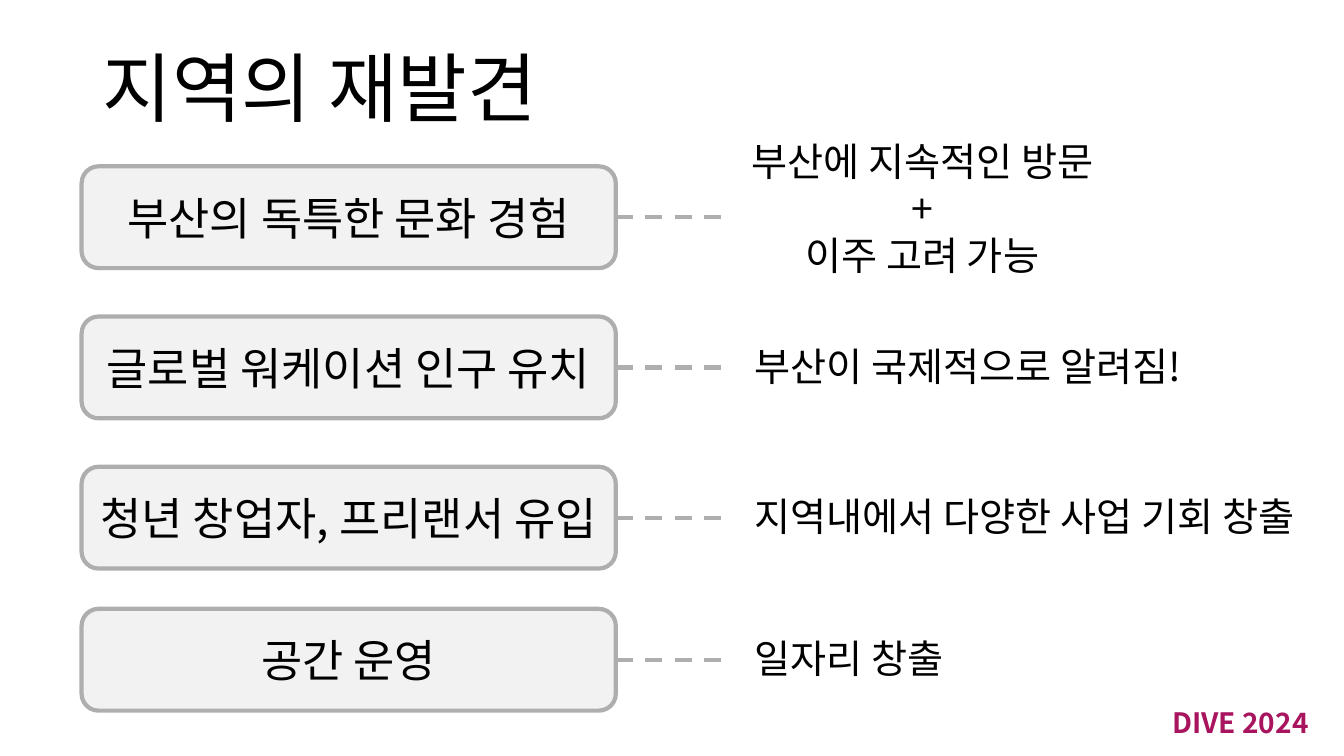
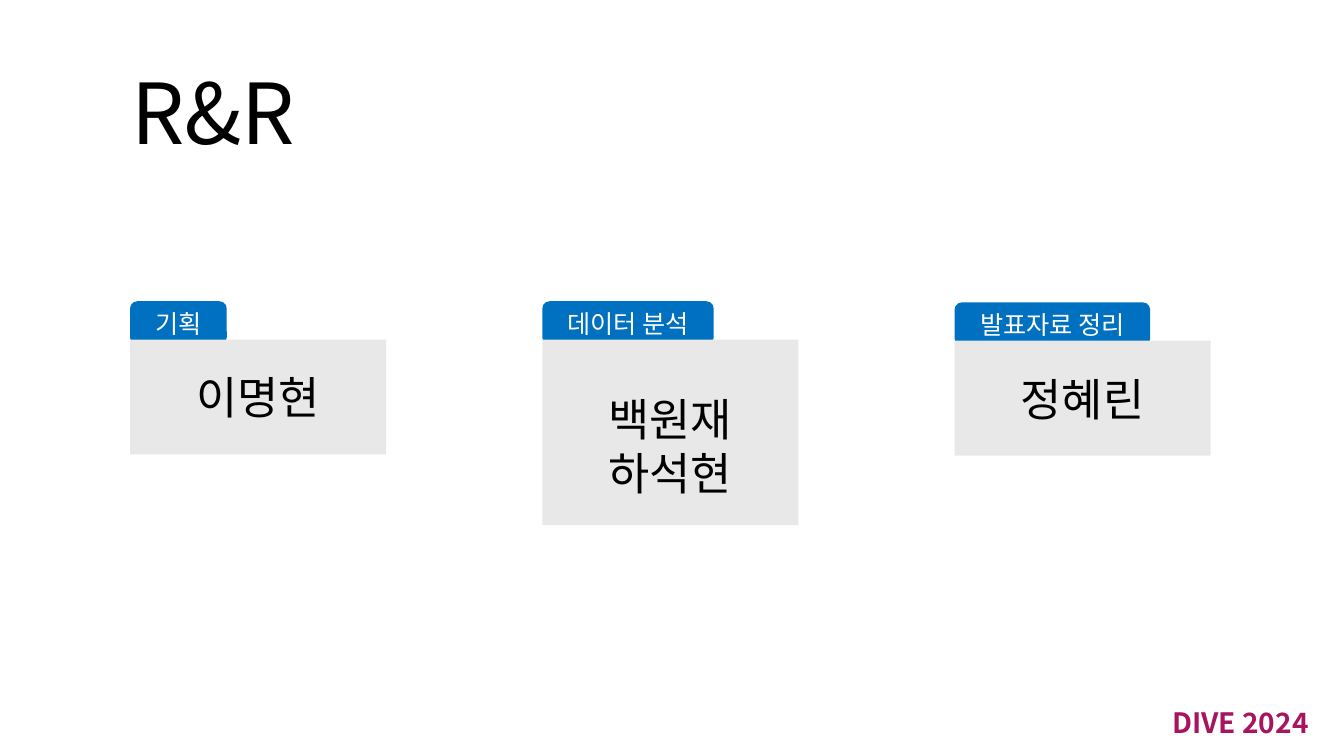
from dataclasses import dataclass

from lxml.etree import SubElement
from pptx import Presentation
from pptx.dml.color import RGBColor
from pptx.enum.dml import MSO_LINE
from pptx.enum.shapes import MSO_CONNECTOR, MSO_SHAPE
from pptx.enum.text import MSO_ANCHOR, MSO_AUTO_SIZE, PP_ALIGN
from pptx.oxml.ns import qn
from pptx.util import Pt


@dataclass(frozen=True)
class Theme:
    """Colours, type sizes and font of the deck."""
    font: str = "Noto Sans CJK KR"
    ink: str = "000000"
    white: str = "FFFFFF"
    accent: str = "A8145E"
    outline: str = "AEAEAE"
    panel: str = "F2F2F2"
    card: str = "E8E8E8"
    tab: str = "0070C0"
    title_size: int = 54
    short_title_size: int = 60
    label_size: int = 32
    note_size: int = 28
    footer_size: int = 20
    tab_size: int = 18


THEME = Theme()
BOX_LEFT, BOX_WIDTH, BOX_HEIGHT = 58.3, 381.6, 72.7
DASH_LENGTH = 75.6
NOTE_WIDTH = 400.3
CARD_LEFT, CARD_PITCH, CARD_WIDTH = 92.9, 294.5, 182.9
TAB_HEIGHT, TAB_RISE = 31, 27.4

EFFECTS = [
    (118.8, "부산의 독특한 문화 경험", ["부산에 지속적인 방문", "+", "이주 고려 가능"]),
    (226.1, "글로벌 워케이션 인구 유치", ["부산이 국제적으로 알려짐!"]),
    (333.4, "청년 창업자, 프리랜서 유입", ["지역내에서 다양한 사업 기회 창출"]),
    (434.9, "공간 운영", ["일자리 창출"]),
]
ROLES = [
    (242.6, "기획", 69.1, ["이명현"], 82.1),
    (242.6, "데이터 분석", 122.4, ["백원재", "하석현"], 132.5),
    (243.4, "발표자료 정리", 139.7, ["정혜린"], 82.1),
]


def set_attributes(target, values):
    """Set each named value on the target."""
    for name, value in values.items():
        setattr(target, name, value)


def write(frame, lines, size, color=THEME.ink, align=PP_ALIGN.CENTER, bold=False, **frame_format):
    """Write one formatted paragraph per line."""
    set_attributes(frame, {"word_wrap": True, "auto_size": MSO_AUTO_SIZE.NONE, **frame_format})
    for index, line in enumerate(lines):
        para = frame.add_paragraph() if index else frame.paragraphs[0]
        para.alignment = align
        span = para.add_run()
        span.text = line
        span.font.color.rgb = RGBColor.from_string(color)
        set_attributes(span.font, {"size": Pt(size), "name": THEME.font, "bold": bold})
        SubElement(span.font._element, qn("a:ea"), typeface=THEME.font)


def add_text(page, place, lines, size, **text_format):
    """Add a text box at a place given in points."""
    box = page.shapes.add_textbox(*map(Pt, place))
    write(box.text_frame, lines, size, **text_format)
    return box


def add_panel(page, preset, place, fill, lines, size, outline=None, **text_format):
    """Add a filled shape with centred text."""
    panel = page.shapes.add_shape(preset, *map(Pt, place))
    panel.shadow.inherit = False
    panel.fill.solid()
    panel.fill.fore_color.rgb = RGBColor.from_string(fill)
    if outline:
        panel.line.color.rgb = RGBColor.from_string(outline)
        panel.line.width = Pt(3)
    else:
        panel.line.fill.background()
    write(panel.text_frame, lines, size, vertical_anchor=MSO_ANCHOR.MIDDLE, **text_format)
    return panel


def add_dash(page, box, middle):
    """Add a dashed line from the right side of a box."""
    right = BOX_LEFT + BOX_WIDTH
    dash = page.shapes.add_connector(
        MSO_CONNECTOR.STRAIGHT, *map(Pt, (right, middle, right + DASH_LENGTH, middle)))
    dash.begin_connect(box, 3)
    dash.line.color.rgb = RGBColor.from_string(THEME.outline)
    set_attributes(dash.line, {"width": Pt(3), "dash_style": MSO_LINE.DASH})
    SubElement(dash._element.spPr, qn("a:effectLst"))


def add_page(deck, title, place, size):
    """Add a title-only page and format its title."""
    page = deck.slides.add_slide(deck.slide_layouts[5])
    holder = page.shapes.title
    set_attributes(holder, dict(zip(("left", "top", "width", "height"), map(Pt, place))))
    write(holder.text_frame, [title], size, align=PP_ALIGN.LEFT,
          vertical_anchor=MSO_ANCHOR.MIDDLE)
    holder.text_frame.paragraphs[0].line_spacing = 0.9
    return page


def share_footer(page):
    """Put the footer on the layout that all pages share."""
    footer = add_text(page, (819.4, 500.4, 133.2, 31.7), ["DIVE 2024"], THEME.footer_size,
                      color=THEME.accent, bold=True)
    page.slide_layout.shapes.element.append(footer.element)


def add_effect(page, top, label, notes):
    """Add a labelled box, its dashed line and its outcome."""
    box = add_panel(page, MSO_SHAPE.ROUNDED_RECTANGLE, (BOX_LEFT, top, BOX_WIDTH, BOX_HEIGHT),
                    THEME.panel, [label], THEME.label_size, outline=THEME.outline,
                    margin_left=0, margin_right=0)
    add_dash(page, box, top + BOX_HEIGHT / 2)
    if len(notes) > 1:
        place, align = (458.6, top - 24.5, NOTE_WIDTH, 108.7), PP_ALIGN.CENTER
    else:
        place, align = (532.1, top + 15, NOTE_WIDTH, 41), PP_ALIGN.LEFT
    add_text(page, place, notes, THEME.note_size, align=align)


def add_role(page, left, top, role, tab_width, names, height):
    """Add a name card below its role tab."""
    add_panel(page, MSO_SHAPE.ROUNDED_RECTANGLE, (left, top - TAB_RISE, tab_width, TAB_HEIGHT),
              THEME.tab, [role], THEME.tab_size, color=THEME.white)
    card = add_panel(page, MSO_SHAPE.RECTANGLE, (left, top, CARD_WIDTH, height),
                     THEME.card, names, THEME.label_size)
    if len(names) > 1:
        card.text_frame.paragraphs[0].line_spacing = 1.5


def main():
    """Build and save the deck."""
    deck = Presentation()
    set_attributes(deck, {"slide_width": Pt(960), "slide_height": Pt(540)})

    page = add_page(deck, "지역의 재발견", (66, 10.8, 828, 109.4), THEME.title_size)
    share_footer(page)
    for effect in EFFECTS:
        add_effect(page, *effect)

    page = add_page(deck, "R&R", (86.4, 31.7, 182.9, 104.4), THEME.short_title_size)
    for index, role in enumerate(ROLES):
        add_role(page, CARD_LEFT + index * CARD_PITCH, *role)

    deck.save("out.pptx")


if __name__ == "__main__":
    main()
